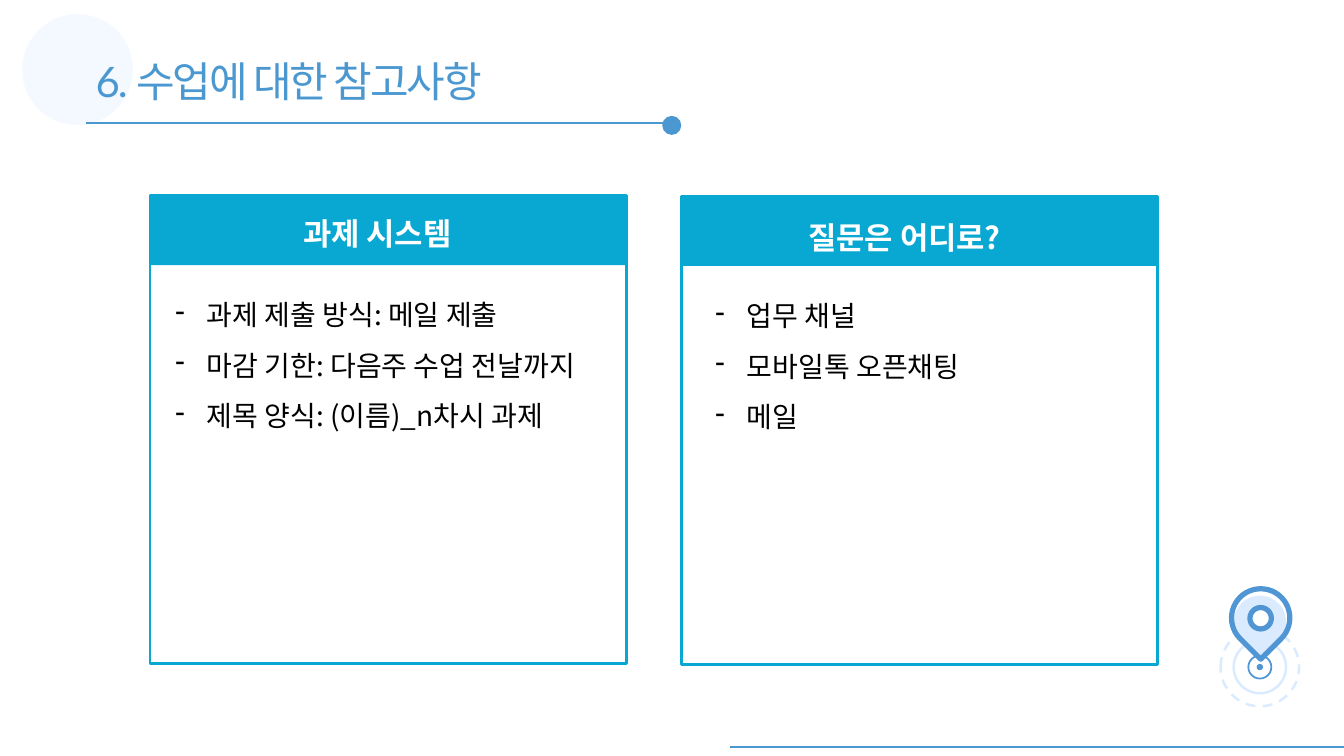
"""Build a slide with notes on homework submission and where to ask questions."""
import pptx
import pptx.dml.color
import pptx.enum.dml
import pptx.enum.shapes
import pptx.oxml.ns
import pptx.util
from lxml import etree
from pptx.util import Cm

THEME = {
    "blue": "4B98D1", "pin": "5096D4", "pale": "DBEBFF", "halo": "F4F9FF",
    "card": "08A8D2", "white": "FFFFFF", "black": "000000",
    "title_font": "Lato", "font": "Noto Sans CJK KR",
    "title_size": 30, "heading_size": 22, "body_size": 20,
}

TITLE = "6. 수업에 대한 참고사항"
CARDS = [
    {"corner": (3.78, 4.93), "heading": "과제 시스템",
     "heading_box": (7.39, 5.28, 4.78, 2.13), "body_left": 4.17,
     "items": ["과제 제출 방식: 메일 제출", "마감 기한: 다음주 수업 전날까지",
               "제목 양식: (이름)_n차시 과제"]},
    {"corner": (17.17, 4.95), "heading": "질문은 어디로?",
     "heading_box": (20.12, 5.38, 6.15, 2.13), "body_left": 17.78,
     "items": ["업무 채널", "모바일톡 오픈채팅", "메일"]},
]
CARD_WIDTH, CARD_HEIGHT, HEADER_HEIGHT = 12.01, 11.79, 1.75
BODY_OFFSET, BODY_HEIGHT, BULLET_INDENT = 2.03, 3.99, 0.79
SLIDE_WIDTH, SLIDE_HEIGHT = 33.87, 19.05

RING_CENTER = (31.75, 16.81)
RINGS = [
    {"size": 1.98, "fill": "white", "line": "pale", "weight": 1.75, "dashed": True},
    {"size": 1.32, "fill": "white", "line": "pale", "weight": 1.75},
    {"size": 0.58, "fill": "white", "line": "pin", "weight": 1.25},
    {"size": 0.16, "fill": "pin"},
]

KINDS = pptx.enum.shapes.MSO_SHAPE


def color(name):
    return pptx.dml.color.RGBColor.from_string(THEME[name])


def add_part(slide, kind, left, top, width, height, fill=None, line=None,
             weight=1, dashed=False, rotation=0):
    shape = slide.shapes.add_shape(kind, Cm(left), Cm(top), Cm(width), Cm(height))
    shape.shadow.inherit = False
    shape.rotation = rotation
    if fill:
        shape.fill.solid()
        shape.fill.fore_color.rgb = color(fill)
    else:
        shape.fill.background()
    if line:
        shape.line.color.rgb = color(line)
        shape.line.width = pptx.util.Pt(weight)
        if dashed:
            shape.line.dash_style = pptx.enum.dml.MSO_LINE.DASH
    else:
        shape.line.fill.background()


def add_centered(slide, kind, center, size, **style):
    left, top = (middle - size / 2 for middle in center)
    add_part(slide, kind, left, top, size, size, **style)


def add_rule(slide, left, right, height):
    connector = slide.shapes.add_connector(
        pptx.enum.shapes.MSO_CONNECTOR.STRAIGHT,
        Cm(left), Cm(height), Cm(right), Cm(height))
    connector.line.color.rgb = color("blue")
    connector.line.width = pptx.util.Pt(1.5)
    etree.SubElement(connector._element.spPr, pptx.oxml.ns.qn("a:effectLst"))


def add_text(slide, lines, box, size, tone, font="font", bold=False,
             spacing=None, line_spacing=None, bullet=None):
    qn = pptx.oxml.ns.qn
    frame = slide.shapes.add_textbox(*map(Cm, box)).text_frame
    frame.word_wrap = True
    for index, line in enumerate(lines):
        paragraph = frame.paragraphs[0] if index == 0 else frame.add_paragraph()
        if line_spacing:
            paragraph.line_spacing = line_spacing
        if bullet:
            properties = paragraph._p.get_or_add_pPr()
            properties.set("marL", str(Cm(BULLET_INDENT)))
            properties.set("indent", str(-Cm(BULLET_INDENT)))
            bullet_color = etree.SubElement(properties, qn("a:buClr"))
            etree.SubElement(bullet_color, qn("a:srgbClr"), val=THEME[tone])
            etree.SubElement(properties, qn("a:buChar"), char=bullet)
        run = paragraph.add_run()
        run.text = line
        run.font.size = pptx.util.Pt(THEME[size])
        run.font.bold = bold
        run.font.color.rgb = color(tone)
        run.font.name = THEME[font]
        run_properties = run._r.get_or_add_rPr()
        etree.SubElement(run_properties, qn("a:ea"), typeface=THEME["font"])
        if spacing:
            run_properties.set("spc", str(int(spacing * 100)))


def add_header(slide):
    add_part(slide, KINDS.OVAL, 0.56, 0.36, 2.79, 2.79, fill="halo")
    add_text(slide, [TITLE], (2.16, 1.27, 20.19, 1.55), "title_size", "blue",
             font="title_font", spacing=-1.5)
    add_rule(slide, 2.16, 16.94, 3.1)
    add_part(slide, KINDS.OVAL, 16.69, 2.92, 0.48, 0.48, fill="blue")


def add_location_pin(slide):
    for ring in RINGS:
        add_centered(slide, KINDS.OVAL, RING_CENTER, **ring)
    add_centered(slide, KINDS.TEAR, (31.75, 15.67), 1.32, fill="pale", rotation=135)
    add_centered(slide, KINDS.TEAR, (31.77, 15.57), 1.47, line="pin",
                 weight=3.75, rotation=135)
    add_centered(slide, KINDS.OVAL, (31.77, 15.58), 0.54, fill="white",
                 line="pin", weight=3.75)


def add_card(slide, card):
    left, top = card["corner"]
    add_part(slide, KINDS.RECTANGLE, left, top, CARD_WIDTH, HEADER_HEIGHT, fill="card")
    add_part(slide, KINDS.RECTANGLE, left, top, CARD_WIDTH, CARD_HEIGHT,
             line="card", weight=2)
    add_text(slide, [card["heading"]], card["heading_box"], "heading_size",
             "white", bold=True)
    body_box = (card["body_left"], top + BODY_OFFSET, CARD_WIDTH, BODY_HEIGHT)
    add_text(slide, card["items"], body_box, "body_size", "black",
             line_spacing=1.5, bullet="-")


def main():
    presentation = pptx.Presentation()
    presentation.slide_width = Cm(SLIDE_WIDTH)
    presentation.slide_height = Cm(SLIDE_HEIGHT)
    slide = presentation.slides.add_slide(presentation.slide_layouts[6])
    add_header(slide)
    add_rule(slide, 18.39, SLIDE_WIDTH, 18.82)
    add_location_pin(slide)
    for card in CARDS:
        add_card(slide, card)
    presentation.save("out.pptx")


if __name__ == "__main__":
    main()
